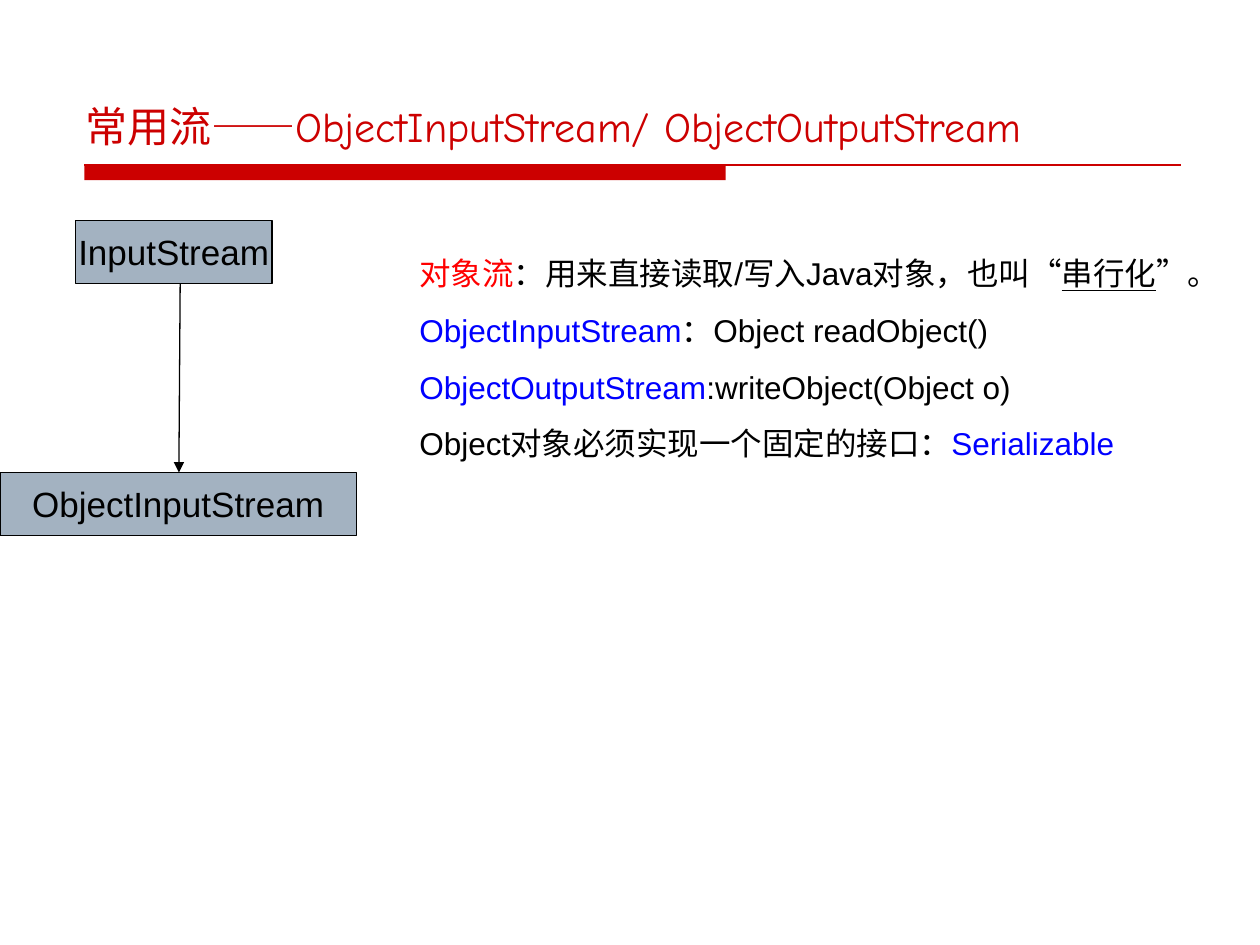
from pptx import Presentation, util as u
from pptx.dml.color import RGBColor
from pptx.enum import shapes, text
from pptx.oxml.ns import qn
from lxml import etree

COLORS = {"title": "CC0000", "box": "A3B2C1", "ink": "000000",
          "term": "FF0000", "code": "0000FF"}


def rgb(name):
    return RGBColor.from_string(COLORS[name])


def add_run(p, words, color="ink", font="Arial", size=18, underline=None):
    r = p.add_run()
    r.text = words
    for key, value in {"name": font, "size": u.Pt(size), "underline": underline}.items():
        setattr(r.font, key, value)
    r.font.color.rgb = rgb(color)


def add_text(s, box, paragraphs, anchor=text.MSO_ANCHOR.TOP, spacing=None):
    """Each paragraph is a list of argument tuples for add_run."""
    tf = s.shapes.add_textbox(*map(u.Inches, box)).text_frame
    tf.word_wrap = True
    tf.vertical_anchor = anchor
    for i, runs in enumerate(paragraphs):
        p = tf.add_paragraph() if i else tf.paragraphs[0]
        p.line_spacing = spacing
        for run in runs:
            add_run(p, *run)
    return tf


def add_rect(s, box, fill, line=None):
    sp = s.shapes.add_shape(shapes.MSO_SHAPE.RECTANGLE, *map(u.Inches, box))
    sp.shadow.inherit = False
    sp.fill.solid()
    sp.fill.fore_color.rgb = rgb(fill)
    if line:
        sp.line.color.rgb = rgb(line)
        sp.line.width = u.Pt(0.75)
    else:
        sp.line.fill.background()
    return sp


def add_class_box(s, box, name):
    tf = add_rect(s, box, "box", "ink").text_frame
    tf.word_wrap = False
    tf.vertical_anchor = text.MSO_ANCHOR.MIDDLE
    p = tf.paragraphs[0]
    p.alignment = text.PP_ALIGN.CENTER
    add_run(p, name, size=20)


def add_line(s, ends, color, arrow=False):
    c = s.shapes.add_connector(shapes.MSO_CONNECTOR.STRAIGHT, *map(u.Inches, ends))
    c.line.color.rgb = rgb(color)
    c.line.width = u.Pt(0.75)
    if arrow:
        etree.SubElement(c.line._get_or_add_ln(), qn("a:tailEnd"), type="triangle")
    etree.SubElement(c._element.spPr, qn("a:effectLst"))


def main():
    prs = Presentation()
    prs.slide_width, prs.slide_height = u.Inches(10), u.Inches(7.5)
    s = prs.slides.add_slide(prs.slide_layouts[6])

    # Title with its rule
    add_rect(s, (0.67, 1.31, 5.09, 0.12), "title")
    add_line(s, (0.67, 1.31, 9.37, 1.31), "title")
    title = "常用流——ObjectInputStream/ ObjectOutputStream"
    add_text(s, (0.58, 0.5, 8.75, 0.75), [[(title, "title", "Comic Neue", 24)]],
             text.MSO_ANCHOR.BOTTOM)

    # Class hierarchy
    add_class_box(s, (0.6, 1.75, 1.56, 0.5), "InputStream")
    add_line(s, (1.43, 2.25, 1.42, 3.75), "ink", arrow=True)
    add_class_box(s, (0, 3.75, 2.83, 0.5), "ObjectInputStream")

    # Explanation
    tf = add_text(s, (3.23, 1.82, 6.47, 1.9), [
        [("对象流", "term"), ("：用来直接读取/写入Java对象，也叫“",),
         ("串行化", "ink", "Arial", 18, True), ("”。",)],
        [("ObjectInputStream", "code"), ("：Object readObject()",)],
        [("ObjectOutputStream", "code"), (":writeObject(Object o)",)],
        [("Object对象必须实现一个固定的接口：",), ("Serializable", "code")],
    ], spacing=1.5)
    tf.auto_size = text.MSO_AUTO_SIZE.SHAPE_TO_FIT_TEXT

    prs.save("out.pptx")


if __name__ == "__main__":
    main()
